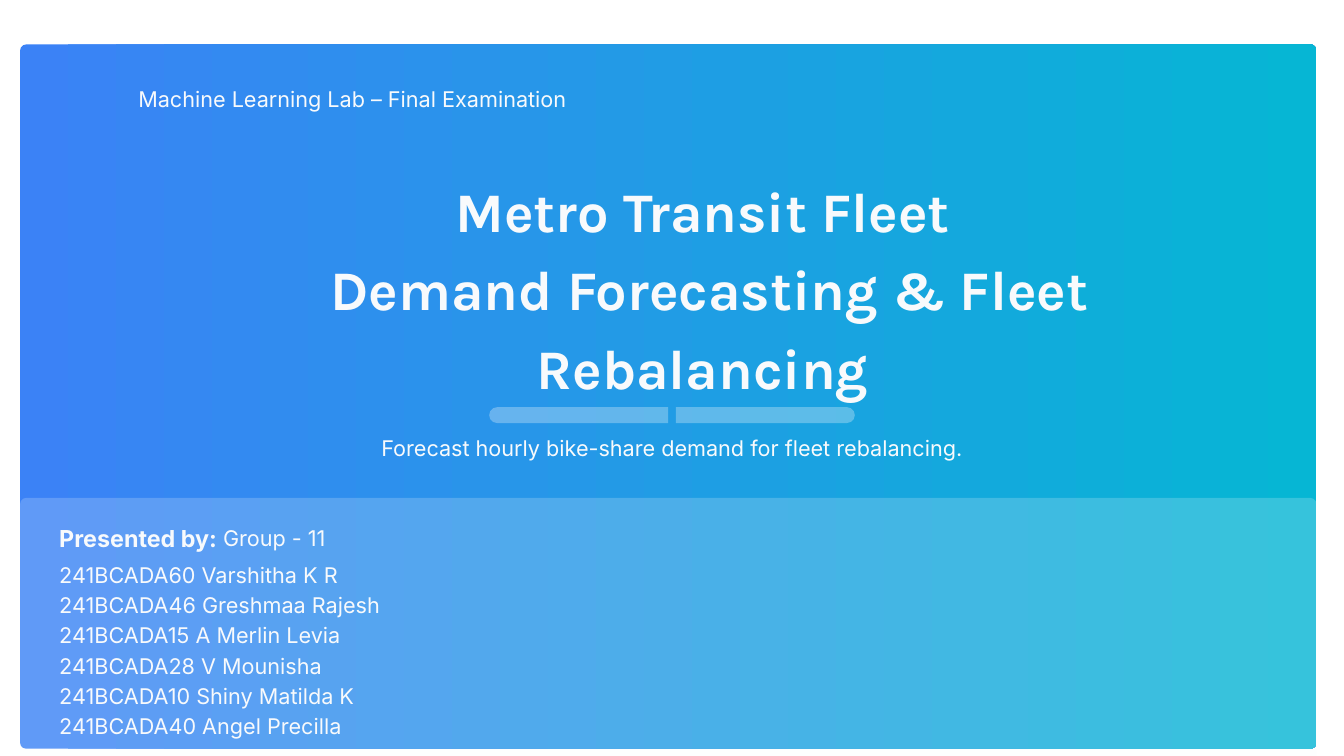
from dataclasses import dataclass

from lxml import etree
from pptx import Presentation
from pptx.dml.color import RGBColor
from pptx.enum.shapes import MSO_SHAPE
from pptx.enum.text import MSO_AUTO_SIZE, PP_ALIGN
from pptx.oxml.ns import qn
from pptx.util import Cm, Pt

ROUNDED = MSO_SHAPE.ROUNDED_RECTANGLE
ROUND_TOP = MSO_SHAPE.ROUND_2_SAME_RECTANGLE
LEFT, CENTER = PP_ALIGN.LEFT, PP_ALIGN.CENTER
GROW = MSO_AUTO_SIZE.SHAPE_TO_FIT_TEXT

COLORS = {"blue": "3B82F6", "cyan": "06B6D4", "light": "F8FAFC"}
CORNER = 0.23  # panel corner radius, cm


@dataclass
class Panel:
    top: float
    height: float
    left: float = 0.76
    width: float = 49


@dataclass
class Label:
    left: float
    top: float
    width: float
    height: float
    lines: list[str]
    size: float = 23.2
    spacing: float = 32.5
    font: str = "Inter"
    bold: bool = False
    align: PP_ALIGN = LEFT


def rgb(name: str) -> RGBColor:
    return RGBColor.from_string(COLORS[name])


def fill_translucent(s, percent: int) -> None:
    s.fill.solid()
    s.fill.fore_color.rgb = rgb("light")
    color = s.fill._xPr.find(qn("a:solidFill"))[0]
    etree.SubElement(color, qn("a:alpha"), val=str(percent * 1000))


def add_panel(slide, panel: Panel):
    s = slide.shapes.add_shape(ROUNDED, Cm(panel.left), Cm(panel.top),
                               Cm(panel.width), Cm(panel.height))
    s.adjustments[0] = CORNER / panel.height
    s.shadow.inherit = False
    s.line.fill.background()
    return s


def add_bar(slide, left: float, rotation: int) -> None:
    """Draw half of the divider: an upright shape turned on its side."""
    top, length, thickness = 15.39, 6.76, 0.6
    shift = (length - thickness) / 2
    s = slide.shapes.add_shape(ROUND_TOP, Cm(left + shift), Cm(top - shift),
                               Cm(thickness), Cm(length))
    s.adjustments[0] = 0.5
    s.rotation = rotation
    s.shadow.inherit = False
    s.line.fill.background()
    fill_translucent(s, 30)


def add_label(slide, label: Label):
    s = slide.shapes.add_textbox(Cm(label.left), Cm(label.top),
                                 Cm(label.width), Cm(label.height))
    tf = s.text_frame
    tf.word_wrap = True
    tf.auto_size = GROW
    tf.margin_left = tf.margin_right = tf.margin_top = tf.margin_bottom = 0
    tf.text = "\n".join(label.lines)
    for p in tf.paragraphs:
        p.alignment = label.align
        p.line_spacing = Pt(label.spacing)
        p.font.size = Pt(label.size)
        p.font.name = label.font
        p.font.bold = label.bold
        p.font.color.rgb = rgb("light")
    return tf


TITLE = Label(8.79, 6.27, 35.53, 8.71,
              ["Metro Transit Fleet", "Demand Forecasting & Fleet Rebalancing"],
              59.8, 83.7, "Karla", True, CENTER)
LABELS = [
    Label(5.23, 3.1, 16.66, 1.12, ["Machine Learning Lab – Final Examination"]),
    Label(9.15, 16.28, 32.5, 1.12,
          ["Forecast hourly bike-share demand for fleet rebalancing."], align=CENTER),
    Label(2.24, 19.63, 6.83, 1.14, ["Presented by:"], 25, 35, bold=True),
    Label(8.43, 19.66, 31.88, 1.12, ["Group - 11"]),
    Label(2.24, 21.06, 28.83, 7.92, [
        "241BCADA60 Varshitha K R",
        "241BCADA46 Greshmaa Rajesh",
        "241BCADA15 A Merlin Levia",
        "241BCADA28 V Mounisha",
        "241BCADA10 Shiny Matilda K",
        "241BCADA40 Angel Precilla",
    ]),
]


def main() -> None:
    prs = Presentation()
    prs.slide_width, prs.slide_height = Cm(50.8), Cm(28.575)
    slide = prs.slides.add_slide(prs.slide_layouts[6])

    # Gradient backdrop
    backdrop = add_panel(slide, Panel(1.68, 26.62))
    backdrop.fill.gradient()
    backdrop.fill.gradient_angle = 0
    for stop, name in zip(backdrop.fill.gradient_stops, ("blue", "cyan")):
        stop.color.rgb = rgb(name)

    # Presenter panel
    fill_translucent(add_panel(slide, Panel(18.82, 9.98)), 20)

    # Divider under the title
    add_bar(slide, 18.49, 270)
    add_bar(slide, 25.55, 90)

    # Title, with its second paragraph slightly indented
    tf = add_label(slide, TITLE)
    tf.paragraphs[1]._p.get_or_add_pPr().set("indent", str(Cm(0.53)))

    # Remaining text
    for label in LABELS:
        add_label(slide, label)

    prs.save("out.pptx")


if __name__ == "__main__":
    main()
